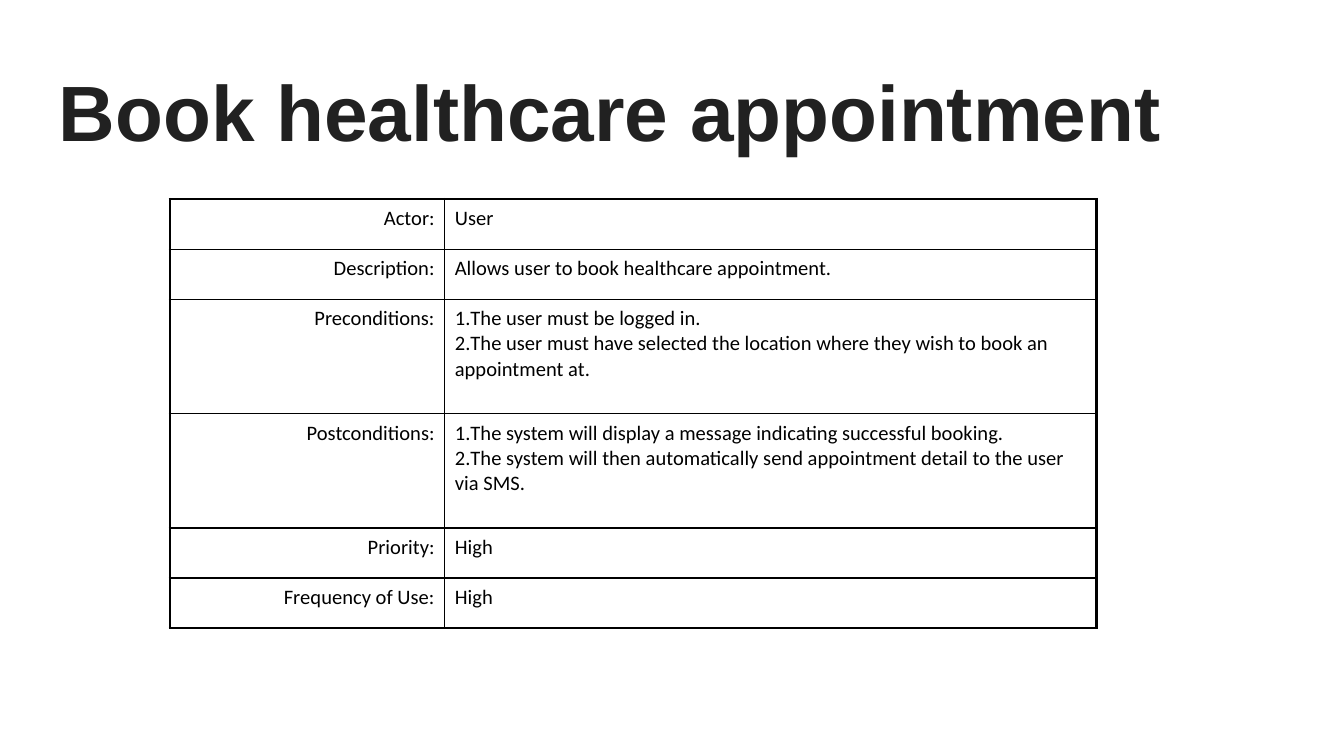
import dataclasses

import pptx
import pptx.dml.color
import pptx.enum.text
import pptx.oxml.ns
import pptx.util
from lxml import etree

Pt = pptx.util.Pt
qn = pptx.oxml.ns.qn
ALIGN = pptx.enum.text.PP_ALIGN


@dataclasses.dataclass(frozen=True)
class Theme:
    title_color: str = "212121"
    ink: str = "000000"
    title_font: str = "Arial"
    body_font: str = "Calibri"
    title_size: float = 42
    body_size: float = 11
    thick: float = 1.5
    thin: float = 0.75


def add_text(p, text, *, font, size, color, bold=False, align=ALIGN.LEFT):
    p.alignment = align
    r = p.add_run()
    r.text = text
    r.font.name = font
    r.font.size = Pt(size)
    r.font.bold = bold
    r.font.color.rgb = pptx.dml.color.RGBColor.from_string(color)


def number_paragraph(p):
    """Turn on automatic 1., 2., ... numbering."""
    pPr = p._p.get_or_add_pPr()
    pPr.set("marL", "0")
    pPr.set("indent", str(-Pt(6)))
    etree.SubElement(pPr, qn("a:buAutoNum"), type="arabicPeriod")


def set_borders(cell, color, **widths):
    """Draw cell edges; widths are given in the order left, right, top, bottom."""
    tcPr = cell._tc.get_or_add_tcPr()
    for i, (side, width) in enumerate(widths.items()):
        ln = etree.Element(qn(f"a:ln{side}"), w=str(Pt(width)))
        fill = etree.SubElement(ln, qn("a:solidFill"))
        etree.SubElement(fill, qn("a:srgbClr"), val=color)
        tcPr.insert(i, ln)


class Deck:
    def __init__(self, theme, width, height):
        self.theme = theme
        self.prs = pptx.Presentation()
        self.prs.slide_width = Pt(width)
        self.prs.slide_height = Pt(height)
        self.s = self.prs.slides.add_slide(self.prs.slide_layouts[6])

    def title(self, text, x, y, w, h):
        t = self.theme
        tf = self.s.shapes.add_textbox(Pt(x), Pt(y), Pt(w), Pt(h)).text_frame
        tf.word_wrap = True
        tf.vertical_anchor = pptx.enum.text.MSO_ANCHOR.TOP
        tf.margin_left = tf.margin_right = tf.margin_bottom = Pt(7.2)
        tf.margin_top = Pt(11)
        add_text(tf.paragraphs[0], text, font=t.title_font,
                 size=t.title_size, color=t.title_color, bold=True)

    def use_case_table(self, rows, x, y, col_widths, row_heights):
        """Rows are (label, content); a list as content is numbered."""
        t = self.theme
        table = self.s.shapes.add_table(
            len(rows), 2, Pt(x), Pt(y),
            Pt(sum(col_widths)), Pt(sum(row_heights))).table
        table.first_row = table.horz_banding = False
        for col, width in zip(table.columns, col_widths):
            col.width = Pt(width)
        for i, (row, height) in enumerate(zip(rows, row_heights)):
            table.rows[i].height = Pt(height)
            for j, content in enumerate(row):
                cell = table.cell(i, j)
                self.fill_cell(cell, content, ALIGN.LEFT if j else ALIGN.RIGHT)
                set_borders(cell, t.ink,
                            L=t.thin if j else t.thick,
                            R=t.thick if j else t.thin,
                            T=t.thin if i else t.thick,
                            B=t.thin)

    def fill_cell(self, cell, content, align):
        t = self.theme
        cell.fill.background()
        cell.margin_left = cell.margin_right = Pt(5.4)
        cell.margin_top = cell.margin_bottom = Pt(3.6)
        tf = cell.text_frame
        numbered = isinstance(content, list)
        for k, text in enumerate(content if numbered else [content]):
            p = tf.add_paragraph() if k else tf.paragraphs[0]
            add_text(p, text, font=t.body_font, size=t.body_size,
                     color=t.ink, align=align)
            if numbered:
                number_paragraph(p)


def main():
    deck = Deck(Theme(), 720, 405)
    deck.title("Book healthcare appointment", 24.5, 23, 671, 63.4)
    rows = [
        ("Actor:", "User"),
        ("Description:", "Allows user to book healthcare appointment."),
        ("Preconditions:", [
            "The user must be logged in.",
            "The user must have selected the location where they wish "
            "to book an appointment at."]),
        ("Postconditions:", [
            "The system will display a message indicating successful booking.",
            "The system will then automatically send appointment detail "
            "to the user via SMS."]),
        ("Priority:", "High"),
        ("Frequency of Use:", "High"),
    ]
    short, tall = 26.8, 61.3
    heights = [tall if isinstance(content, list) else short
               for _, content in rows]
    deck.use_case_table(rows, 91, 106.7, (147.3, 349.2), heights)
    deck.prs.save("out.pptx")


if __name__ == "__main__":
    main()
